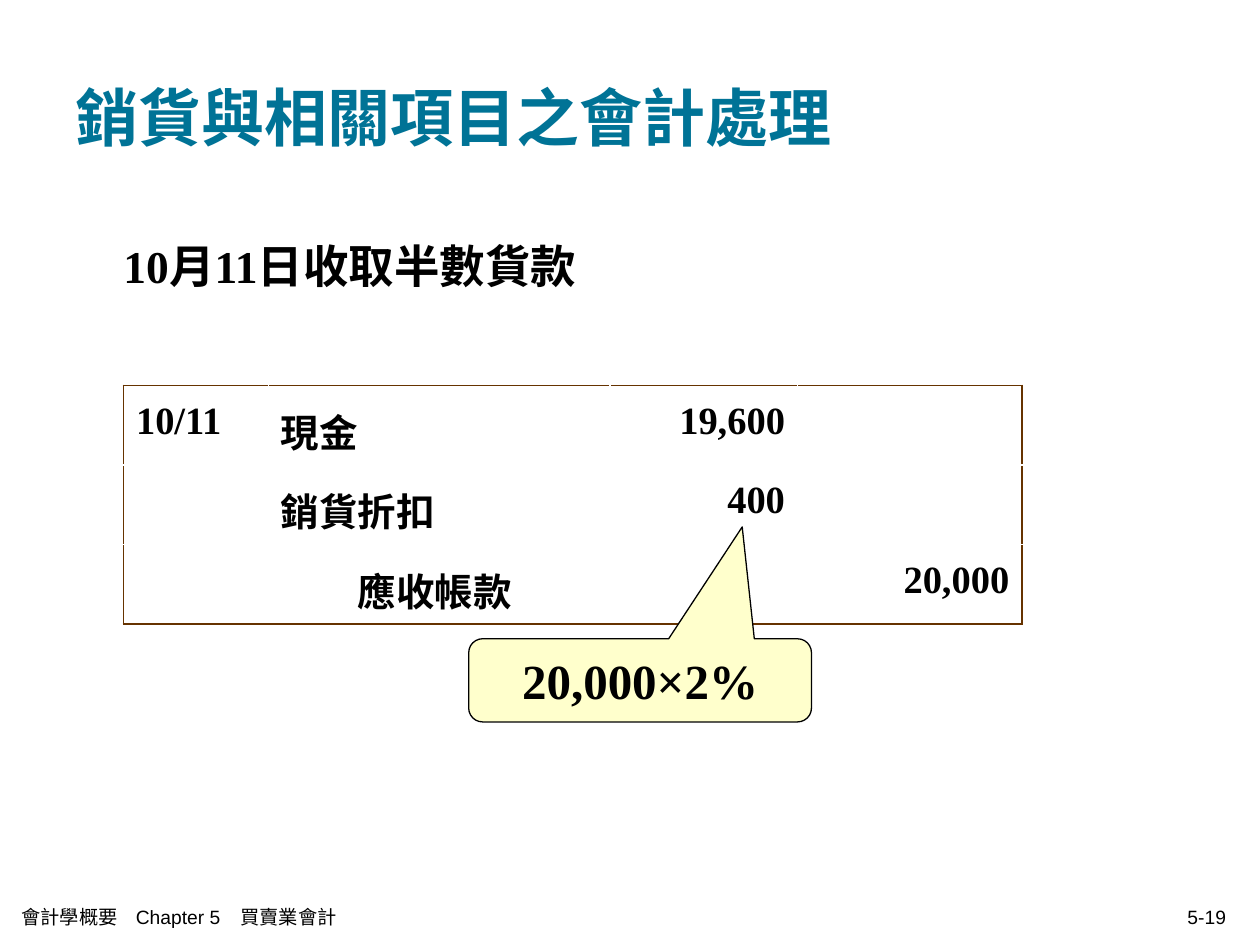
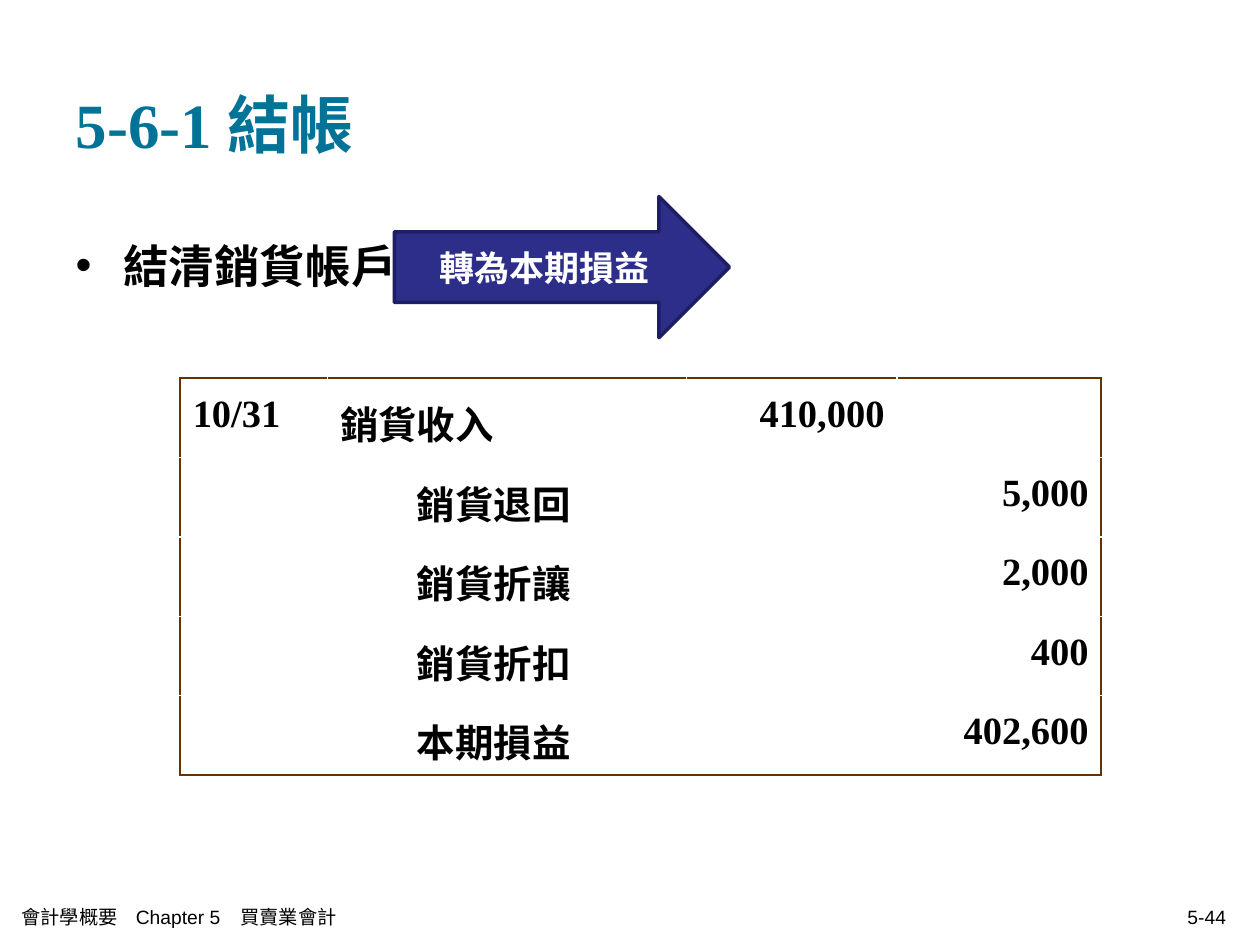
import pptx
import pptx.util
import pptx.dml.color
import pptx.enum.shapes
import pptx.enum.text
import pptx.oxml
import pptx.oxml.ns

Inches = pptx.util.Inches
Pt = pptx.util.Pt
Align = pptx.enum.text.PP_ALIGN
Anchor = pptx.enum.text.MSO_ANCHOR
Shape = pptx.enum.shapes.MSO_SHAPE

COLORS = {
    "title": "007396",
    "text": "000000",
    "frame": "663300",
    "note": "FFFFCC",
    "arrow": "2D2D8A",
    "edge": "1E1E64",
    "light": "FFFFFF",
}
SERIF, SANS = "Times New Roman", "Arial"
FOOTER = "會計學概要\tChapter 5\t買賣業會計"
FOOT_TABS = (0.91, 1.74)
HANG = 0.38
CREDIT_INDENT = 0.61

SLIDES = [
    {
        "title": "銷貨與相關項目之會計處理",
        "top": 0.3,
        "body": "10月11日收取半數貨款",
        "bullet": False,
        "page": "5-19",
        "place": (0.98, 3.06),
        "cols": (1.15, 2.71, 1.49, 1.78),
        "row": 0.58,
        "entries": [
            ("10/11", "現金", "19,600", ""),
            ("", "銷貨折扣", "400", ""),
            ("", "應收帳款", "", "20,000"),
        ],
        "callout": {
            "kind": Shape.ROUNDED_RECTANGULAR_CALLOUT,
            "box": (3.72, 5.07, 2.72, 0.66),
            "adjust": (0.298, -1.846, 0.167),
            "fill": "note", "line": "text", "width": 0.75,
            "text": "20,000×2%", "size": 28, "color": "text",
        },
    },
    {
        "title": "5-6-1 結帳",
        "top": 0.35,
        "body": "結清銷貨帳戶",
        "bullet": True,
        "page": "5-44",
        "place": (1.43, 3),
        "cols": (1.17, 2.85, 1.67, 1.62),
        "row": 0.54,
        "entries": [
            ("10/31", "銷貨收入", "410,000", ""),
            ("", "銷貨退回", "", "5,000"),
            ("", "銷貨折讓", "", "2,000"),
            ("", "銷貨折扣", "", "400"),
            ("", "本期損益", "", "402,600"),
        ],
        "callout": {
            "kind": Shape.RIGHT_ARROW,
            "box": (3.13, 1.56, 2.66, 1.12),
            "adjust": (0.5, 0.5),
            "fill": "arrow", "line": "edge", "width": 2,
            "text": "轉為本期損益", "size": 20, "color": "light",
        },
    },
]


def tint(name):
    return pptx.dml.color.RGBColor.from_string(COLORS[name])


def add_node(parent, xml):
    node = pptx.oxml.parse_xml(xml.replace(" ", f" {pptx.oxml.ns.nsdecls('a')} ", 1))
    parent.append(node)


def write(frame, text, size, color="text", font=SERIF, bold=True, align=Align.LEFT):
    frame.text = text
    para = frame.paragraphs[0]
    para.alignment = align
    para.space_before = Pt(0)
    for run in para.runs:
        run.font.size = Pt(size)
        run.font.name = font
        run.font.bold = bold
        run.font.color.rgb = tint(color)
    return para


def indent(para, left, first=0):
    props = para._p.get_or_add_pPr()
    props.set("marL", str(Inches(left)))
    props.set("indent", str(Inches(first)))
    return props


def move(shape, left, top, width, height):
    shape.left, shape.top = Inches(left), Inches(top)
    shape.width, shape.height = Inches(width), Inches(height)


def add_heads(slide, data):
    title, body = slide.placeholders
    move(title, 0.5, data["top"], 9, 1.25)
    title.text_frame.vertical_anchor = Anchor.MIDDLE
    write(title.text_frame, data["title"], 36, "title")

    move(body, 0.5, 1.75, 9, 4.95)
    para = write(body.text_frame, data["body"], 26)
    para.line_spacing = 1.2
    if data["bullet"]:
        props = indent(para, HANG, -HANG)
        add_node(props, '<a:buFont typeface="Arial"/>')
        add_node(props, '<a:buChar char="•"/>')
    else:
        add_node(indent(para, HANG), "<a:buNone />")


def add_frame(cell, sides):
    props = cell._tc.get_or_add_tcPr()
    for side in sides:
        add_node(props, f'<a:ln{side} w="{Pt(1.08)}"><a:solidFill>'
                        f'<a:srgbClr val="{COLORS["frame"]}"/></a:solidFill></a:ln{side}>')
    cell.fill.background()


def add_journal(slide, data):
    entries, cols = data["entries"], data["cols"]
    rows = len(entries)
    left, top = data["place"]
    table = slide.shapes.add_table(
        rows, len(cols), Inches(left), Inches(top),
        Inches(sum(cols)), Inches(rows * data["row"])).table
    table.first_row = table.horz_banding = False
    for col, width in zip(table.columns, cols):
        col.width = Inches(width)
    for r, entry in enumerate(entries):
        table.rows[r].height = Inches(data["row"])
        for c, text in enumerate(entry):
            cell = table.cell(r, c)
            edges = {"L": c == 0, "R": c == len(cols) - 1,
                     "T": r == 0, "B": r == rows - 1}
            add_frame(cell, [side for side, drawn in edges.items() if drawn])
            if text:
                align = Align.RIGHT if c > 1 else Align.LEFT
                para = write(cell.text_frame, text, 22, align=align)
                para.line_spacing = 1.2
                if c == 1 and entry[3]:
                    indent(para, CREDIT_INDENT)


def add_callout(slide, part):
    shape = slide.shapes.add_shape(part["kind"], *map(Inches, part["box"]))
    for i, value in enumerate(part["adjust"]):
        shape.adjustments[i] = value
    shape.shadow.inherit = False
    shape.fill.solid()
    shape.fill.fore_color.rgb = tint(part["fill"])
    shape.line.color.rgb = tint(part["line"])
    shape.line.width = Pt(part["width"])
    shape.text_frame.vertical_anchor = Anchor.MIDDLE
    write(shape.text_frame, part["text"], part["size"], part["color"], align=Align.CENTER)


def add_footer(slide, page):
    for text, left, width, align in (
            (FOOTER, 0.07, 5.1, Align.LEFT), (page, 7.5, 2.33, Align.RIGHT)):
        box = slide.shapes.add_textbox(Inches(left), Inches(7.11), Inches(width), Inches(0.33))
        frame = box.text_frame
        frame.word_wrap = True
        frame.vertical_anchor = Anchor.MIDDLE
        para = write(frame, text, 11, font=SANS, bold=False, align=align)
        if "\t" in text:
            stops = "".join(f'<a:tab pos="{Inches(x)}" algn="l"/>' for x in FOOT_TABS)
            add_node(para._p.get_or_add_pPr(), f"<a:tabLst >{stops}</a:tabLst>")


def main():
    deck = pptx.Presentation()
    deck.slide_width, deck.slide_height = Inches(10), Inches(7.5)
    for data in SLIDES:
        slide = deck.slides.add_slide(deck.slide_layouts[1])
        add_heads(slide, data)
        add_journal(slide, data)
        add_callout(slide, data["callout"])
        add_footer(slide, data["page"])
    deck.save("out.pptx")


if __name__ == "__main__":
    main()
